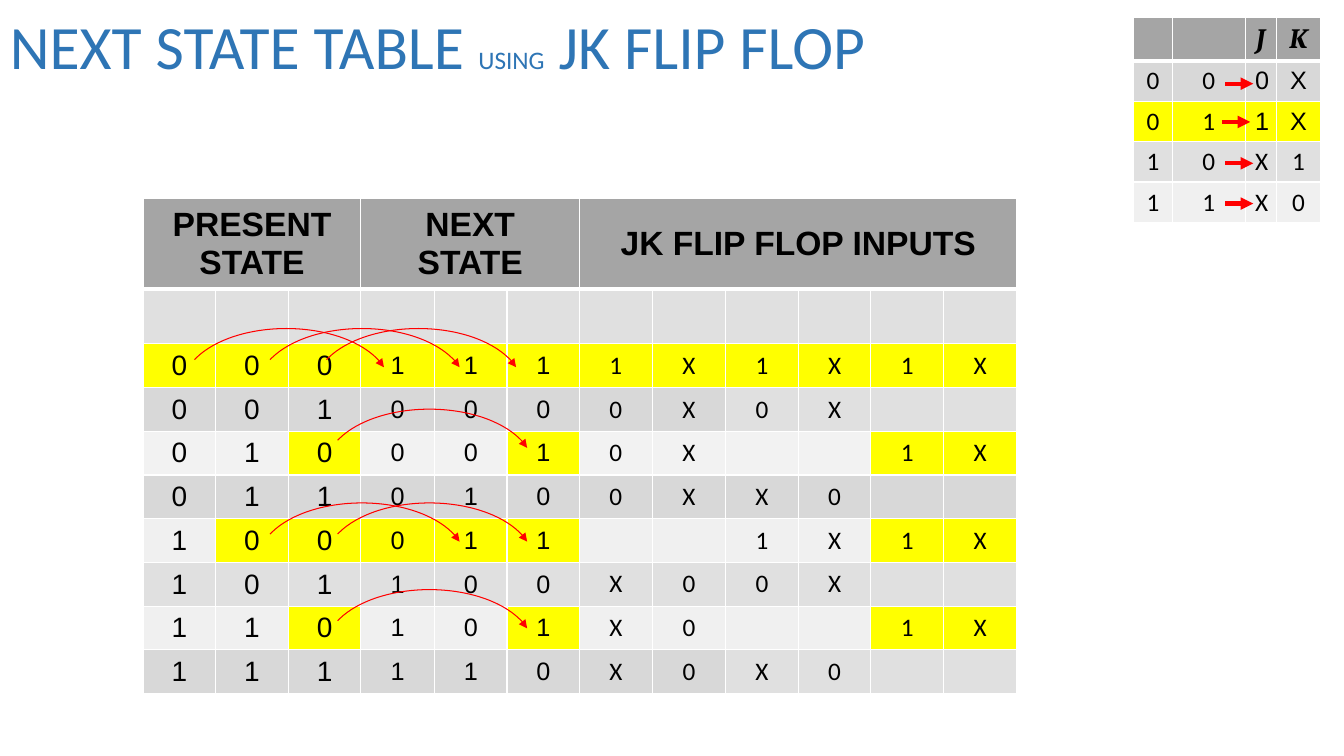
from dataclasses import dataclass

from lxml import etree
from pptx import Presentation
from pptx.dml.color import RGBColor
from pptx.enum.shapes import MSO_CONNECTOR, MSO_SHAPE
from pptx.enum.text import MSO_ANCHOR, PP_ALIGN
from pptx.oxml.ns import qn
from pptx.util import Emu, Pt

CENTER = PP_ALIGN.CENTER
MIDDLE = MSO_ANCHOR.MIDDLE
STRAIGHT = MSO_CONNECTOR.STRAIGHT
ARC = MSO_SHAPE.ARC
EMU_PER_PX = 9144


@dataclass(frozen=True)
class Theme:
    title: str = "2E75B5"
    text: str = "000000"
    border: str = "FFFFFF"
    arrow: str = "FF0000"
    head: str = "A5A5A5"
    title_size: int = 44
    header_size: int = 24
    large_size: int = 20
    body_size: int = 18
    sans: str = "Arial"
    body: str = "Calibri"
    serif: str = "Cambria"


THEME = Theme()

# One letter per cell fill: Yellow, Dark, Even, Pale, Light
FILLS = {"Y": "FFFF00", "D": "D8D8D8", "E": "E0E0E0", "P": "F0F0F0", "L": "F2F2F2"}

STATE_HEADERS = [(0, 2, "PRESENT STATE"), (3, 5, "NEXT STATE"), (6, 11, "JK FLIP FLOP INPUTS")]
STATE_ROWS = [
    ("            ", "EEEEEEEEEEEE"),
    ("0001111X1X1X", "YYYYYYYYYYYY"),
    ("0010000X0X  ", "DDDDDDDDEEEE"),
    ("0100010X  1X", "LLYLLYLLLLYY"),
    ("0110100XX0  ", "DDDDDDDDDDDD"),
    ("100011  1X1X", "PYYYYYPPPPYY"),
    ("101100X00X  ", "EEEEEEEEEEEE"),
    ("110101X0  1X", "PPYPPYPPPPYY"),
    ("111110X0X0  ", "DDDDDDDDEEEE"),
]
EXCITATION_ROWS = [("000X", "DDDD"), ("011X", "YYYY"), ("10X1", "EEEE"), ("11X0", "PPPP")]

EXCITATION_ARROWS = [(1215, 83), (1212, 121), (1215, 162), (1215, 202)]
STATE_ARCS = [(181, 326), (256, 326), (312, 326), (256, 499), (323, 406), (323, 499), (323, 585)]


def px(value):
    return Emu(value * EMU_PER_PX)


def rgb(code):
    return RGBColor.from_string(code)


def set_font(font, name, size, color, bold=False, italic=False):
    font.name = name
    font.size = Pt(size)
    font.color.rgb = rgb(color)
    font.bold = bold
    font.italic = italic


def add_title(page):
    box = page.shapes.add_textbox(px(0), px(0), px(999), px(99))
    frame = box.text_frame
    frame.word_wrap = True
    frame.vertical_anchor = MIDDLE
    para = frame.paragraphs[0]
    para.line_spacing = 0.9
    for text, size in [
        ("NEXT STATE TABLE ", THEME.title_size),
        ("USING", THEME.body_size),
        (" JK FLIP FLOP", THEME.title_size),
    ]:
        span = para.add_run()
        span.text = text
        set_font(span.font, THEME.body, size, THEME.title)


def style_cell(cell, fill, top, bottom):
    """Fill the cell and give it white borders, with top and bottom widths in points."""
    properties = cell._tc.get_or_add_tcPr()
    for side, width in [("L", 1), ("R", 1), ("T", top), ("B", bottom)]:
        line = etree.SubElement(properties, qn(f"a:ln{side}"), w=str(Pt(width)))
        solid = etree.SubElement(line, qn("a:solidFill"))
        etree.SubElement(solid, qn("a:srgbClr"), val=THEME.border)
    cell.fill.solid()
    cell.fill.fore_color.rgb = rgb(fill)


def write_cell(cell, text, name, size, bold=False, italic=False):
    cell.vertical_anchor = MIDDLE
    para = cell.text_frame.paragraphs[0]
    para.text = text
    para.alignment = CENTER
    set_font(para.font, name, size, THEME.text, bold, italic)


def add_grid(page, left, top, widths, heights, rows, font_at):
    """Add a table with an empty header row; font_at(row, column) gives name and size."""
    frame = page.shapes.add_table(
        len(heights), len(widths), px(left), px(top), px(sum(widths)), px(sum(heights))
    )
    table = frame.table
    table.horz_banding = False
    for column, width in zip(table.columns, widths):
        column.width = px(width)
    for row, height in zip(table.rows, heights):
        row.height = px(height)
    for column in range(len(widths)):
        style_cell(table.cell(0, column), THEME.head, 1, 3)
    for row, (texts, fills) in enumerate(rows, start=1):
        for column, (text, fill) in enumerate(zip(texts, fills)):
            cell = table.cell(row, column)
            style_cell(cell, FILLS[fill], 3 if row == 1 else 1, 1)
            if text != " ":
                write_cell(cell, text, *font_at(row, column))
    return table


def state_font(row, column):
    name = THEME.sans if column < 6 else THEME.body
    return name, THEME.large_size if column < 3 else THEME.body_size


def excitation_font(row, column):
    return THEME.sans if row < 3 and column > 1 else THEME.body, THEME.body_size


def add_state_table(page):
    table = add_grid(
        page, 142, 197, [72, 72, 72, 73] * 3, [90, 54] + [43] * 8, STATE_ROWS, state_font
    )
    for first, last, text in STATE_HEADERS:
        cell = table.cell(0, first)
        cell.merge(table.cell(0, last))
        write_cell(cell, text, THEME.sans, THEME.header_size, bold=True)


def add_excitation_table(page):
    table = add_grid(
        page, 1124, 17, [39, 72, 31, 44], [43] + [40] * 4, EXCITATION_ROWS, excitation_font
    )
    for column, text in [(2, "J"), (3, "K")]:
        write_cell(table.cell(0, column), text, THEME.serif, THEME.large_size, True, True)


def style_arrow(shape, width):
    shape.line.color.rgb = rgb(THEME.arrow)
    shape.line.width = Pt(width)
    line = shape.element.spPr.find(qn("a:ln"))
    etree.SubElement(line, qn("a:tailEnd"), type="triangle")


def add_arrow(page, left, top):
    arrow = page.shapes.add_connector(STRAIGHT, px(left), px(top), px(left + 28), px(top))
    style_arrow(arrow, 3)
    etree.SubElement(arrow.element.spPr, qn("a:effectLst"))


def add_arc(page, left, top):
    arc = page.shapes.add_shape(ARC, px(left), px(top), px(206), px(116))
    arc.adjustments[0] = 117.94
    arc.adjustments[1] = 209.15
    arc.fill.background()
    style_arrow(arc, 0.75)
    arc.shadow.inherit = False


def main():
    deck = Presentation()
    deck.slide_width = px(1333)
    deck.slide_height = px(750)
    page = deck.slides.add_slide(deck.slide_layouts[6])
    add_title(page)
    add_state_table(page)
    add_excitation_table(page)
    for left, top in EXCITATION_ARROWS:
        add_arrow(page, left, top)
    for left, top in STATE_ARCS:
        add_arc(page, left, top)
    deck.save("out.pptx")


if __name__ == "__main__":
    main()
